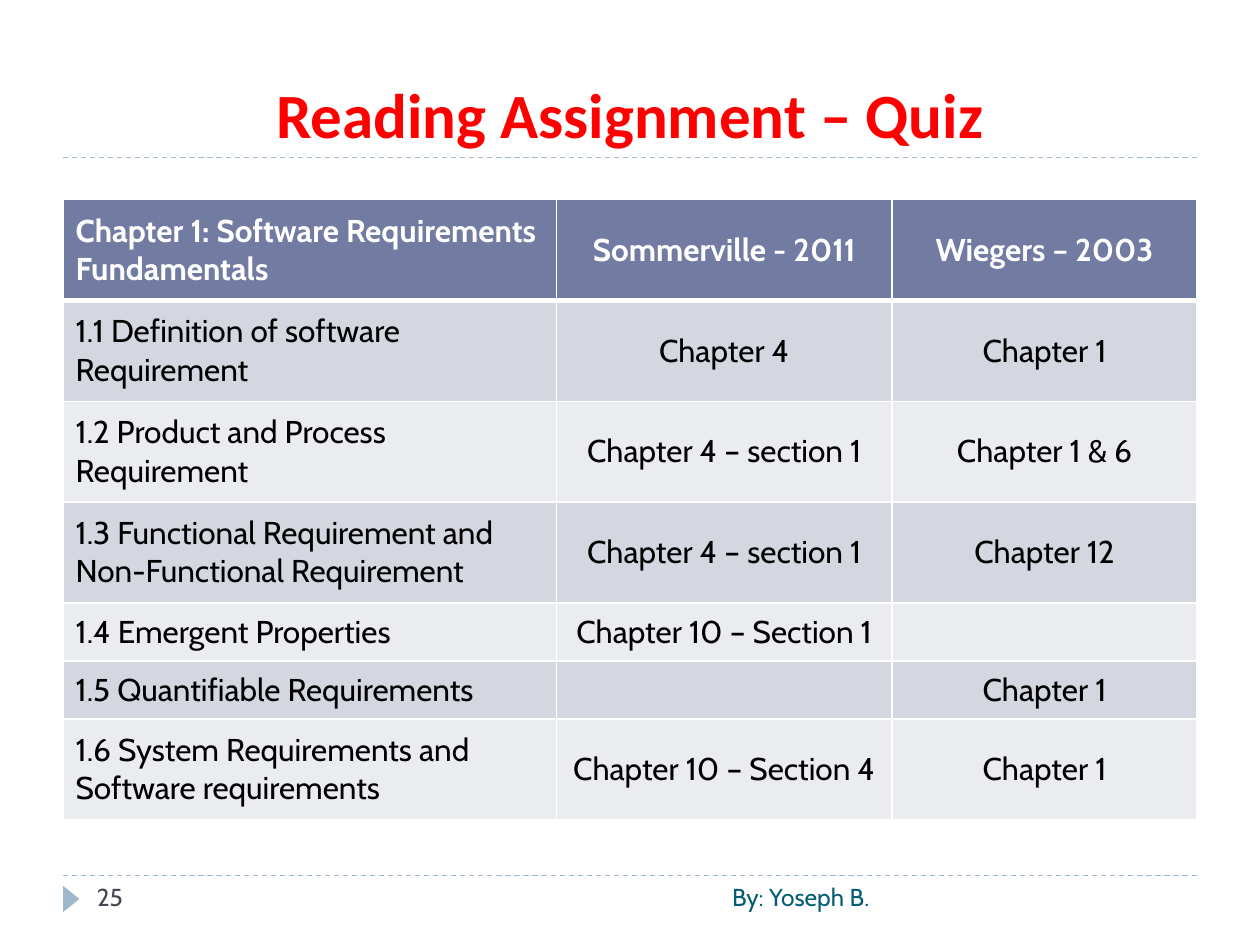
"""Build the reading assignment slide with its chapter table."""
import pptx
import pptx.dml.color
import pptx.enum.dml
import pptx.enum.shapes
import pptx.enum.text
import pptx.oxml
import pptx.oxml.ns
import pptx.util

COLORS = {
    "title": "FF0000", "accent": "9FB8CD", "header": "727CA3", "odd": "D5D7E0", "even": "EBECF0",
    "white": "FFFFFF", "black": "000000", "number": "464653", "author": "045D75",
}
ALIGN = pptx.enum.text.PP_ALIGN
ANCHOR = pptx.enum.text.MSO_ANCHOR
CHAPTERS = [
    ("Chapter 1: Software Requirements Fundamentals", "Sommerville - 2011", "Wiegers – 2003"),
    ("1.1 Definition of software Requirement", "Chapter 4", "Chapter 1"),
    ("1.2 Product and Process Requirement", "Chapter 4 – section 1", "Chapter 1 & 6"),
    ("1.3 Functional Requirement and Non-Functional Requirement", "Chapter 4 – section 1", "Chapter 12"),
    ("1.4 Emergent Properties", "Chapter 10 – Section 1", ""),
    ("1.5 Quantifiable Requirements", "", "Chapter 1"),
    ("1.6 System Requirements and Software requirements", "Chapter 10 – Section 4", "Chapter 1"),
]


class SlideBuilder:
    """Hold the style and the slide, measured on a grid of 20 columns by 15 rows."""

    def __init__(self, presentation, font="Cabin"):
        self.font = font
        self.column = presentation.slide_width / 20
        self.row = presentation.slide_height / 15
        self.slide = presentation.slides.add_slide(presentation.slide_layouts[5])
        self.shapes = self.slide.shapes

    def box(self, left, top, width, height):
        return (round(left * self.column), round(top * self.row),
                round(width * self.column), round(height * self.row))

    def color(self, name):
        return pptx.dml.color.RGBColor.from_string(COLORS[name])

    def set_text(self, text_frame, text, size, color, align=ALIGN.LEFT, bold=False, font=None):
        text_frame.text = text
        paragraph = text_frame.paragraphs[0]
        paragraph.alignment = align
        for run in paragraph.runs:
            run.font.name = font or self.font
            run.font.size = pptx.util.Pt(size)
            run.font.bold = bold
            run.font.color.rgb = self.color(color)

    def title(self, text, *place):
        shape = self.shapes.title
        shape.left, shape.top, shape.width, shape.height = self.box(*place)
        shape.text_frame.vertical_anchor = ANCHOR.BOTTOM
        self.set_text(shape.text_frame, text, 36, "title", ALIGN.CENTER, True, "Calibri")

    def text(self, text, color, align, *place):
        text_frame = self.shapes.add_textbox(*self.box(*place)).text_frame
        text_frame.word_wrap = True
        self.set_text(text_frame, text, 14, color, align)

    def rule(self, left, top, width):
        x, y, length, _ = self.box(left, top, width, 0)
        connector = self.shapes.add_connector(
            pptx.enum.shapes.MSO_CONNECTOR.STRAIGHT, x, y, x + length, y)
        connector.line.color.rgb = self.color("accent")
        connector.line.width = pptx.util.Pt(0.75)
        connector.line.dash_style = pptx.enum.dml.MSO_LINE.DASH
        connector._element.spPr.append(
            pptx.oxml.parse_xml(f'<a:effectLst {pptx.oxml.ns.nsdecls("a")}/>'))

    def marker(self, *place):
        shape = self.shapes.add_shape(
            pptx.enum.shapes.MSO_SHAPE.ISOSCELES_TRIANGLE, *self.box(*place))
        shape.rotation = 90
        shape.shadow.inherit = False
        shape.fill.solid()
        shape.fill.fore_color.rgb = self.color("accent")
        shape.line.fill.background()

    def border(self, cell, side, points):
        cell._tc.get_or_add_tcPr().append(pptx.oxml.parse_xml(
            f'<a:ln{side} {pptx.oxml.ns.nsdecls("a")} w="{pptx.util.Pt(points)}"><a:solidFill>'
            f'<a:srgbClr val="{COLORS["white"]}"/></a:solidFill></a:ln{side}>'))

    def table(self, rows, widths, heights, left, top):
        place = self.box(left, top, sum(widths), sum(heights))
        table = self.shapes.add_table(len(rows), len(widths), *place).table
        for column, width in zip(table.columns, widths):
            column.width = round(width * self.column)
        for index, (values, height) in enumerate(zip(rows, heights)):
            table.rows[index].height = round(height * self.row)
            header = index == 0
            fill = "header" if header else ("even", "odd")[index % 2]
            thickness = {"L": 1, "R": 1, "T": 3 if index == 1 else 1, "B": 3 if header else 1}
            for position, value in enumerate(values):
                cell = table.cell(index, position)
                for side, points in thickness.items():
                    self.border(cell, side, points)
                cell.fill.solid()
                cell.fill.fore_color.rgb = self.color(fill)
                cell.vertical_anchor = ANCHOR.MIDDLE
                self.set_text(cell.text_frame, value, 18, "white" if header else "black",
                              ALIGN.CENTER if position else ALIGN.LEFT, header)


def main():
    presentation = pptx.Presentation()
    presentation.slide_width = pptx.util.Inches(10)
    presentation.slide_height = pptx.util.Inches(7.5)
    builder = SlideBuilder(presentation)
    for top in (13.9, 2.5):
        builder.rule(1, top, 18)
    builder.marker(0.92, 14.14, 0.42, 0.26)
    builder.title("Reading Assignment – Quiz", 1, 0.34, 18, 2.16)
    builder.text("25", "number", ALIGN.LEFT, 1.34, 13.9, 4.34, 0.8)
    heights = [1.6] * 4 + [0.92] * 2 + [1.6]
    builder.table(CHAPTERS, (7.83, 5.33, 4.84), heights, 1, 3.17)
    builder.text("By: Yoseph B.", "author", ALIGN.RIGHT, 6.34, 13.9, 7.66, 0.8)
    presentation.save("out.pptx")


if __name__ == "__main__":
    main()
